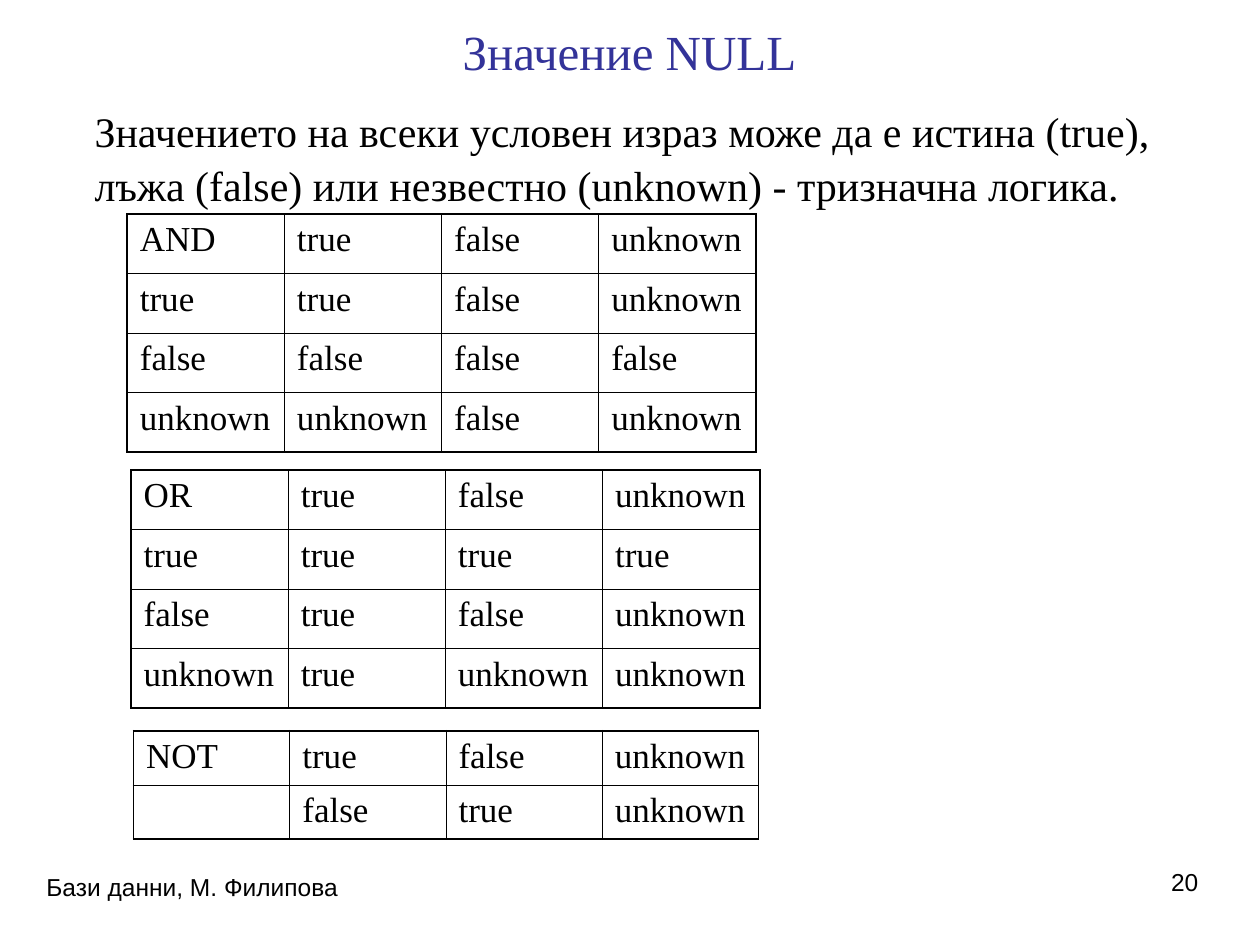
from lxml.etree import SubElement
from pptx import Presentation
from pptx.dml.color import RGBColor
from pptx.enum.text import MSO_ANCHOR, MSO_AUTO_SIZE, PP_ALIGN
from pptx.oxml.ns import qn
from pptx.util import Inches, Pt

BLACK = RGBColor(0x00, 0x00, 0x00)
TITLE_BLUE = RGBColor(0x33, 0x33, 0x99)
SERIF = "Times New Roman"
SANS = "Arial"
THIN, THICK = Pt(0.45), Pt(1.08)

AND_ROWS = [
    ["AND", "true", "false", "unknown"],
    ["true", "true", "false", "unknown"],
    ["false", "false", "false", "false"],
    ["unknown", "unknown", "false", "unknown"],
]
OR_ROWS = [
    ["OR", "true", "false", "unknown"],
    ["true", "true", "true", "true"],
    ["false", "true", "false", "unknown"],
    ["unknown", "true", "unknown", "unknown"],
]
NOT_ROWS = [
    ["NOT", "true", "false", "unknown"],
    ["", "false", "true", "unknown"],
]


def set_values(target, values):
    """Set every attribute in the dict on the target."""
    for name, value in values.items():
        setattr(target, name, value)


def write(frame, text, size, font=SERIF, color=BLACK, **paragraph_format):
    """Write one formatted paragraph into a text frame."""
    para = frame.paragraphs[0]
    set_values(para, paragraph_format)
    span = para.add_run()
    span.text = text
    set_values(span.font, {"name": font, "size": Pt(size), "bold": False})
    span.font.color.rgb = color
    return para


def place(shape, box, anchor=MSO_ANCHOR.TOP):
    """Move a text shape to its box and return its wrapped text frame."""
    sides = ("left", "top", "width", "height")
    set_values(shape, {side: Inches(length) for side, length in zip(sides, box)})
    frame = shape.text_frame
    set_values(frame, {
        "word_wrap": True,
        "auto_size": MSO_AUTO_SIZE.NONE,
        "vertical_anchor": anchor,
    })
    return frame


def add_title(page, box):
    """Fill the title placeholder."""
    frame = place(page.shapes.title, box, MSO_ANCHOR.MIDDLE)
    write(frame, "Значение NULL", 28, color=TITLE_BLUE, alignment=PP_ALIGN.CENTER)


def add_body(page, box):
    """Fill the body placeholder with an indented paragraph without a bullet."""
    frame = place(page.placeholders[1], box)
    para = write(
        frame,
        "Значението на всеки условен израз може да е истина (true), "
        "лъжа (false) или незвестно (unknown) - тризначна логика.",
        24, space_before=Pt(6), line_spacing=1.07,
    )
    properties = para._p.get_or_add_pPr()
    properties.set("marL", str(Inches(0.38)))
    properties.set("indent", "0")
    SubElement(properties, qn("a:buNone"))


def draw_borders(cell, widths):
    """Draw solid black cell borders of the given widths."""
    properties = cell._tc.get_or_add_tcPr()
    for side, width in widths.items():
        line = SubElement(properties, qn(f"a:ln{side}"), w=str(width))
        fill = SubElement(line, qn("a:solidFill"))
        SubElement(fill, qn("a:srgbClr"), val=str(BLACK))


def add_truth_table(page, box, rows):
    """Add a truth table with a thick frame and thin inner lines."""
    row_count, column_count = len(rows), len(rows[0])
    left, top, width, height = (Inches(length) for length in box)
    table = page.shapes.add_table(
        row_count, column_count, left, top, width, height).table
    set_values(table, {"first_row": False, "horz_banding": False})
    for i, row in enumerate(rows):
        for j, text in enumerate(row):
            cell = table.cell(i, j)
            draw_borders(cell, {
                "L": THICK if j == 0 else THIN,
                "R": THICK if j == column_count - 1 else THIN,
                "T": THICK if i == 0 else THIN,
                "B": THICK if i == row_count - 1 else THIN,
            })
            cell.fill.background()
            if text:
                write(cell.text_frame, text, 20, space_before=Pt(5))


def add_footer(page, box, text, alignment):
    """Add a line of footer text."""
    shape = page.shapes.add_textbox(*(Inches(length) for length in box))
    write(place(shape, box), text, 14, SANS, alignment=alignment)


def main():
    """Build the slide and save the deck."""
    deck = Presentation()
    set_values(deck, {"slide_width": Inches(10), "slide_height": Inches(7.5)})
    page = deck.slides.add_slide(deck.slide_layouts[1])
    add_title(page, (0.27, 0.13, 9.45, 0.55))
    add_body(page, (0.27, 0.76, 9.45, 5.94))
    add_truth_table(page, (1.01, 1.7, 4.99, 1.89), AND_ROWS)
    add_truth_table(page, (1.04, 3.73, 4.99, 1.89), OR_ROWS)
    add_truth_table(page, (1.06, 5.8, 4.96, 0.86), NOT_ROWS)
    add_footer(page, (0.27, 6.87, 3.17, 0.52), "Бази данни, М. Филипова", PP_ALIGN.LEFT)
    add_footer(page, (7.28, 6.83, 2.33, 0.52), "20", PP_ALIGN.RIGHT)
    deck.save("out.pptx")


if __name__ == "__main__":
    main()
